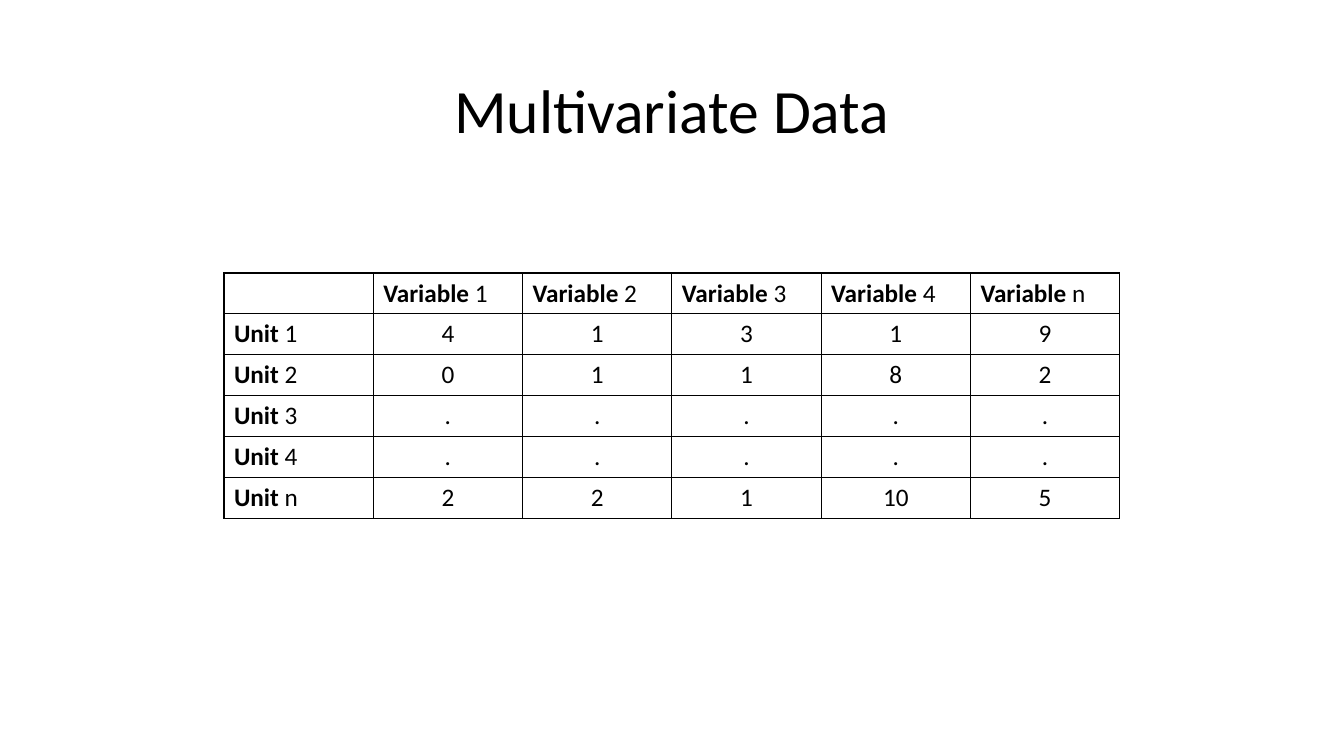
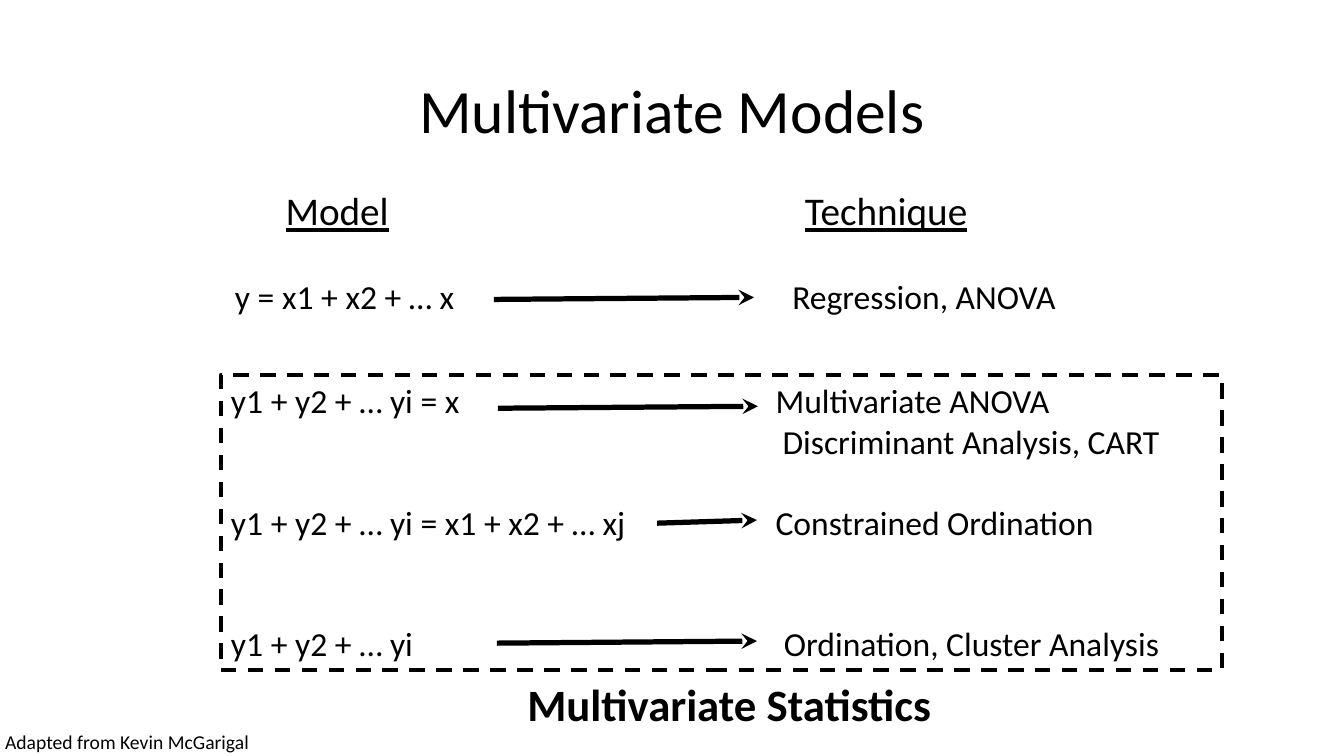
from pptx import Presentation
from pptx.dml.color import RGBColor
from pptx.enum.dml import MSO_LINE_DASH_STYLE as Dash
from pptx.enum.shapes import MSO_CONNECTOR as Connector, MSO_SHAPE as Shape
from pptx.enum.text import MSO_ANCHOR as Anchor, PP_ALIGN as Align
from pptx.oxml import parse_xml
from pptx.oxml.ns import nsdecls
from pptx.util import Pt

COLORS = {"ink": "000000", "paper": "FFFFFF"}


class Deck:
    """Holds the shared style and the slide being built."""

    font = "Calibri"
    title_size, body_size, cell_size = 44, 24, 18

    def __init__(self):
        self.deck = Presentation()
        self.deck.slide_width, self.deck.slide_height = Pt(960), Pt(540)
        self.page = None

    def color(self, name):
        return RGBColor.from_string(COLORS[name])

    def new_page(self, title):
        self.page = self.deck.slides.add_slide(self.deck.slide_layouts[6])
        self.page.background.fill.solid()
        self.page.background.fill.fore_color.rgb = self.color("paper")
        box = self.text(66, 28.8, 828, 104.4, title, self.title_size, align=Align.CENTER)
        box.text_frame.vertical_anchor = Anchor.MIDDLE
        box.text_frame.paragraphs[0].line_spacing = 0.9

    def span(self, para, words, size, bold=False, underline=False):
        span = para.add_run()
        span.text = words
        span.font.name, span.font.size = self.font, Pt(size)
        span.font.bold, span.font.underline = bold, underline
        span.font.color.rgb = self.color("ink")

    def text(self, left, top, width, height, words, size=body_size,
             align=Align.LEFT, **style):
        box = self.page.shapes.add_textbox(Pt(left), Pt(top), Pt(width), Pt(height))
        frame = box.text_frame
        frame.word_wrap = True
        frame.margin_left = frame.margin_right = Pt(0)
        frame.margin_top = frame.margin_bottom = Pt(0)
        para = frame.paragraphs[0]
        para.alignment = align
        self.span(para, words, size, **style)
        return box

    def dashed_frame(self, left, top, width, height):
        frame = self.page.shapes.add_shape(
            Shape.RECTANGLE, Pt(left), Pt(top), Pt(width), Pt(height))
        frame.shadow.inherit = False
        frame.fill.background()
        frame.line.color.rgb = self.color("ink")
        frame.line.width = Pt(2.75)
        frame.line.dash_style = Dash.DASH

    def arrow(self, x1, y1, x2, y2):
        arrow = self.page.shapes.add_connector(
            Connector.STRAIGHT, Pt(x1), Pt(y1), Pt(x2), Pt(y2))
        arrow.line.color.rgb = self.color("ink")
        arrow.line.width = Pt(3.75)
        arrow.line._get_or_add_ln().append(
            parse_xml(f'<a:tailEnd {nsdecls("a")} type="stealth"/>'))
        arrow._element.spPr.append(parse_xml(f'<a:effectLst {nsdecls("a")}/>'))

    def style_cell(self, cell):
        props = cell._tc.get_or_add_tcPr()
        for side in "LRTB":
            props.append(parse_xml(
                f'<a:ln{side} {nsdecls("a")} w="{Pt(1)}"><a:solidFill>'
                f'<a:srgbClr val="{COLORS["ink"]}"/></a:solidFill></a:ln{side}>'))
        cell.fill.background()

    def table(self, left, top, width, height, rows):
        """Fill a grid; a (label, index) pair has a bold label."""
        grid = self.page.shapes.add_table(
            len(rows), len(rows[0]), Pt(left), Pt(top), Pt(width), Pt(height)).table
        grid.first_row = grid.horz_banding = False
        for r, row in enumerate(rows):
            for c, value in enumerate(row):
                cell = grid.cell(r, c)
                self.style_cell(cell)
                para = cell.text_frame.paragraphs[0]
                if isinstance(value, tuple):
                    label, index = value
                    self.span(para, label, self.cell_size, bold=True)
                    self.span(para, f" {index}", self.cell_size)
                elif value:
                    para.alignment = Align.CENTER
                    self.span(para, value, self.cell_size)


def data_page(deck):
    deck.new_page("Multivariate Data")
    indices = "1234n"
    values = ["4 1 3 1 9", "0 1 1 8 2", ". . . . .", ". . . . .", "2 2 1 10 5"]
    header = [""] + [("Variable", index) for index in indices]
    body = [[("Unit", index)] + line.split() for index, line in zip(indices, values)]
    deck.table(160, 195, 640, 175.2, [header] + body)


def models_page(deck):
    deck.new_page("Multivariate Models")
    deck.dashed_frame(157.7, 267.8, 715, 211)

    # Column headings
    for left, heading in ((204, "Model"), (575, "Technique")):
        deck.text(left, 133.2, 160, 34, heading, 28, underline=True)

    # Models: left, top, wording
    for left, top, model in (
            (167.8, 197.4, "y = x1 + x2 + … x"),
            (165, 271.4, "y1 + y2 + … yi = x"),
            (165, 358.4, "y1 + y2 + … yi = x1 + x2 + … xj"),
            (165, 445, "y1 + y2 + … yi")):
        deck.text(left, top, 310, 29.3, model)

    # Techniques: left, top, wording
    for left, top, technique in (
            (566, 197.4, "Regression, ANOVA"),
            (554, 271.4, "Multivariate ANOVA"),
            (559, 300.4, "Discriminant Analysis, CART"),
            (554, 358.4, "Constrained Ordination"),
            (560, 445, "Ordination, Cluster Analysis")):
        deck.text(left, top, 305, 29.3, technique)

    # Arrows from model to technique
    for ends in ((352.8, 213.9, 538.6, 212.4), (355.7, 291.6, 541.4, 290.2),
                 (469.4, 373.7, 540.7, 371.5), (355, 459.4, 540.7, 457.9)):
        deck.arrow(*ends)

    # Frame caption and credit
    deck.text(376.6, 483.1, 300, 39, "Multivariate Statistics", 32, bold=True)
    deck.text(3.6, 521.3, 200, 17.1, "Adapted from Kevin McGarigal", 14)


def main():
    deck = Deck()
    data_page(deck)
    models_page(deck)
    deck.deck.save("out.pptx")


if __name__ == "__main__":
    main()
